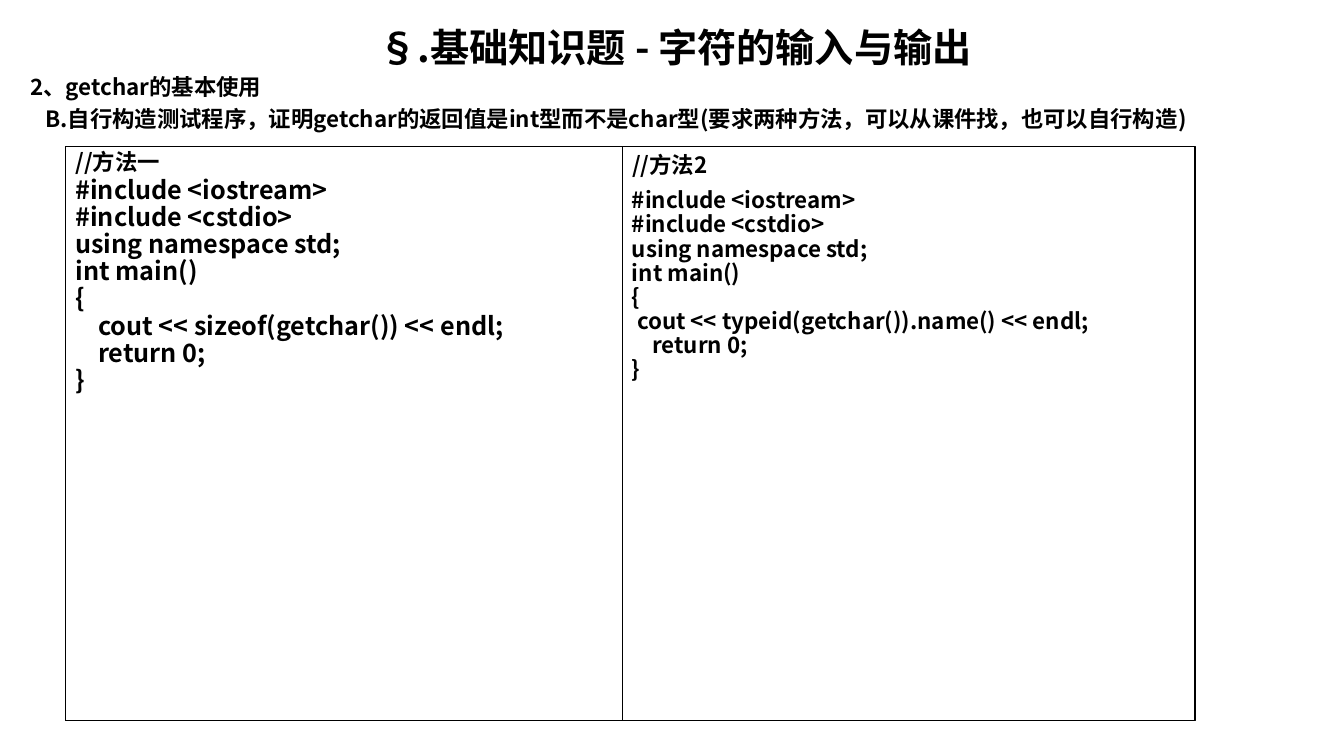
from lxml import etree
from pptx import Presentation
from pptx.dml.color import RGBColor
from pptx.enum.shapes import MSO_SHAPE as Shape
from pptx.enum.text import MSO_ANCHOR as Anchor, MSO_AUTO_SIZE as AutoSize, PP_ALIGN as Align
from pptx.oxml.ns import qn
from pptx.util import Inches, Pt

COLORS = {"ink": "000000", "paper": "FFFFFF"}
FONT = "Noto Sans CJK SC"


def write(frame, lines, size=16, align=Align.LEFT, spacing=1.0, before=0, indents=(), fit=AutoSize.NONE):
    frame.word_wrap = True
    frame.auto_size = fit
    frame.vertical_anchor = Anchor.TOP
    for i, line in enumerate(lines):
        paragraph = frame.paragraphs[0] if i == 0 else frame.add_paragraph()
        run = paragraph.add_run()
        run.text = line
        paragraph.alignment = align
        paragraph.line_spacing = spacing
        paragraph.space_before = Pt(before if i else 0)
        properties = paragraph._p.get_or_add_pPr()
        properties.set("marL", str(Inches(indents[i] if indents else 0)))
        properties.set("indent", "0")
        etree.SubElement(properties, qn("a:buNone"))
        run.font.size = Pt(size)
        run.font.bold = True
        run.font.name = FONT
        run.font.color.rgb = RGBColor.from_string(COLORS["ink"])
        etree.SubElement(run._r.get_or_add_rPr(), qn("a:ea")).set("typeface", FONT)


deck = Presentation()
deck.slide_width, deck.slide_height = Inches(13.33), Inches(7.5)
slide = deck.slides.add_slide(deck.slide_layouts[1])
slide.background.fill.solid()
slide.background.fill.fore_color.rgb = RGBColor.from_string(COLORS["paper"])

heading = slide.shapes.title
heading.left, heading.top, heading.width, heading.height = map(Inches, (0.2, 0.18, 12.99, 0.53))
write(heading.text_frame, ["§.基础知识题 - 字符的输入与输出"], size=28, align=Align.CENTER)

question = slide.placeholders[1]
question.left, question.top, question.width, question.height = map(Inches, (0.2, 0.68, 12.99, 0.75))
write(question.text_frame, [
    "2、getchar的基本使用",
    "B.自行构造测试程序，证明getchar的返回值是int型而不是char型(要求两种方法，可以从课件找，也可以自行构造)",
], before=3.2, indents=(0, 0.15))

panels = [
    (0.65, 11.21, [], 1.0),
    (0.65, 5.52, ["//方法一"], 0.9),
    (6.17, 5.68, ["//方法2"], 1.0),
]
for left, width, label, spacing in panels:
    panel = slide.shapes.add_shape(Shape.RECTANGLE, Inches(left), Inches(1.45), Inches(width), Inches(5.7))
    panel.shadow.inherit = False
    panel.fill.background()
    panel.line.color.rgb = RGBColor.from_string(COLORS["ink"])
    panel.line.width = Pt(0.75)
    write(panel.text_frame, label, spacing=spacing)

programs = [
    (0.65, 1.71, 2.28, 18, "    cout << sizeof(getchar()) << endl;"),
    (6.17, 1.83, 2.04, 16, " cout << typeid(getchar()).name() << endl;"),
]
for left, top, height, size, statement in programs:
    program = slide.shapes.add_textbox(Inches(left), Inches(top), Inches(6.67), Inches(height))
    write(program.text_frame, [
        "#include <iostream>",
        "#include <cstdio>",
        "using namespace std;",
        "int main()",
        "{",
        statement,
        "    return 0;",
        "}",
    ], size=size, spacing=0.9, fit=AutoSize.SHAPE_TO_FIT_TEXT)

deck.save("out.pptx")
